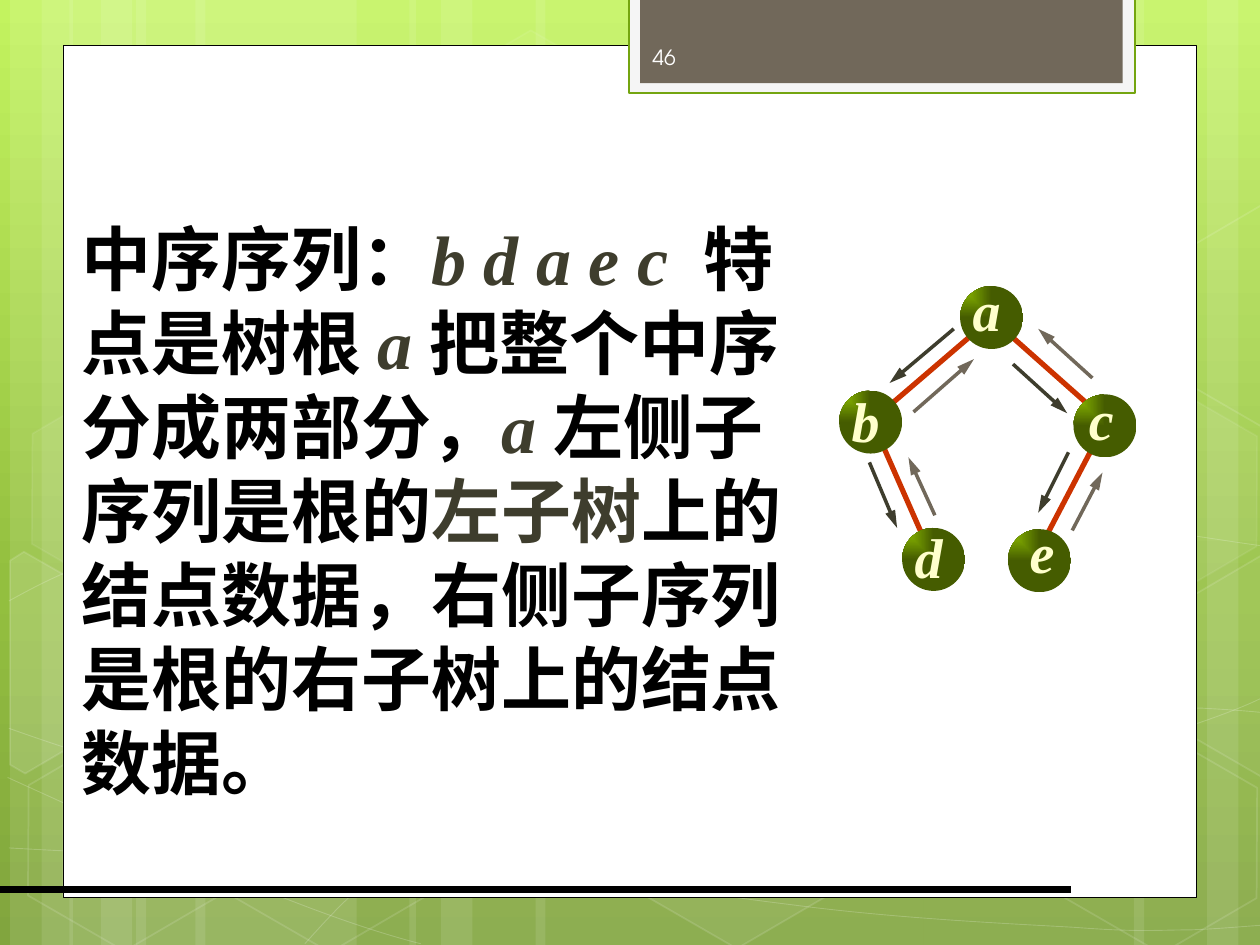
"""Build the slide on in-order traversal of a binary tree."""
from dataclasses import dataclass

from lxml.etree import SubElement
from pptx import Presentation
from pptx.dml.color import RGBColor as Rgb
from pptx.enum.shapes import MSO_CONNECTOR as Link, MSO_SHAPE as Kind
from pptx.enum.text import MSO_ANCHOR as Anchor, MSO_AUTO_SIZE as Fit, PP_ALIGN as Align
from pptx.oxml import parse_xml
from pptx.oxml.ns import nsdecls, qn
from pptx.util import Inches, Pt


@dataclass(frozen=True)
class Theme:
    backdrop: tuple = ((0, "C3F35F"), (62, "93BF3F"), (100, "81A53E"))
    ball: tuple = ((0, "94C600"), (100, "455C00"))
    white: str = "FFFFFF"
    black: str = "000000"
    tab: str = "F5F5F5"
    tab_edge: str = "74A510"
    taupe: str = "71685A"
    olive: str = "3E3D2D"
    red: str = "CC3300"
    cream: str = "FFFFCC"
    page_ink: str = "FEFEFE"
    serif: str = "Times New Roman"
    sans: str = "TeX Gyre Adventor"
    body_size: int = 40
    label_size: int = 32
    page_size: int = 12


def write(frame, runs, font, size, align=None, anchor=Anchor.TOP, wrap=True, fit=Fit.NONE, bold=False):
    frame.word_wrap, frame.auto_size, frame.vertical_anchor = wrap, fit, anchor
    paragraph = frame.paragraphs[0]
    paragraph.alignment = align
    for words, color, italic in runs:
        run = paragraph.add_run()
        run.text = words
        run.font.name, run.font.size = font, Pt(size)
        run.font.bold, run.font.italic = bold, italic
        run.font.color.rgb = Rgb.from_string(color)


def fade(element, percent):
    color = element.find(f"{qn('a:solidFill')}/{qn('a:srgbClr')}")
    SubElement(color, qn("a:alpha")).set("val", str(percent * 1000))


def blend(parent, stops, shade):
    marks = "".join(f'<a:gs pos="{at * 1000}"><a:srgbClr val="{color}"/></a:gs>' for at, color in stops)
    solid = parent.find(qn("a:solidFill"))
    parent.replace(solid, parse_xml(
        f'<a:gradFill {nsdecls("a")} rotWithShape="1"><a:gsLst>{marks}</a:gsLst>{shade}</a:gradFill>'))


def bend(shape):
    track = next(shape.element.iter(qn("a:path")))
    segments = track.findall(qn("a:lnTo"))
    for first in range(0, len(segments), 3):
        curve = SubElement(track, qn("a:cubicBezTo"))
        for segment in segments[first:first + 3]:
            curve.append(segment[0])
            track.remove(segment)


class Board:
    def __init__(self, slide, theme):
        self.slide, self.shapes, self.theme = slide, slide.shapes, theme

    def backdrop(self):
        fill = self.slide.background.fill
        fill.solid()
        fill.fore_color.rgb = Rgb.from_string(self.theme.white)
        background = self.slide.element.cSld.find(f"{qn('p:bg')}/{qn('p:bgPr')}")
        blend(background, self.theme.backdrop, '<a:lin ang="5400000" scaled="0"/>')

    def paint(self, shape, fill=None, alpha=None, line=None, width=1, line_alpha=None):
        shape.shadow.inherit = False
        if fill:
            shape.fill.solid()
            shape.fill.fore_color.rgb = Rgb.from_string(fill)
            if alpha:
                fade(shape.element.spPr, alpha)
        else:
            shape.fill.background()
        if line:
            shape.line.color.rgb = Rgb.from_string(line)
            shape.line.width = Pt(width)
            if line_alpha:
                fade(shape.element.spPr.find(qn("a:ln")), line_alpha)
        else:
            shape.line.fill.background()
        return shape

    def block(self, box, kind=Kind.RECTANGLE, **look):
        return self.paint(self.shapes.add_shape(kind, *map(Inches, box)), **look)

    def hexagon(self, left, top, alpha, line_alpha):
        white = self.theme.white
        cell = self.block((left, top, 1.75, 1.52), Kind.HEXAGON, fill=white if alpha else None,
                          alpha=alpha, line=white, line_alpha=line_alpha)
        cell.adjustments[0] = 0.285
        cell.rotation = 30

    def outline(self, points, close, **look):
        first, *rest = [(Inches(x), Inches(y)) for x, y in points]
        builder = self.shapes.build_freeform(*first)
        builder.add_line_segments(rest, close=close)
        return self.paint(builder.convert_to_shape(), line=self.theme.white, **look)

    def stroke(self, start, end, color, width, arrow=None):
        stroke = self.shapes.add_connector(Link.STRAIGHT, *map(Inches, (*start, *end)))
        stroke.line.color.rgb = Rgb.from_string(color)
        stroke.line.width = Pt(width)
        properties = stroke.element.spPr
        if arrow:
            tip = SubElement(properties.find(qn("a:ln")), qn(arrow))
            for key, value in (("type", "triangle"), ("w", "med"), ("len", "lg")):
                tip.set(key, value)
        SubElement(properties, qn("a:effectLst"))

    def text(self, box, runs, **look):
        write(self.shapes.add_textbox(*map(Inches, box)).text_frame, runs, **look)

    def ball(self, left, top):
        ball = self.block((left, top, 0.5, 0.5), Kind.OVAL, fill=self.theme.white)
        blend(ball.element.spPr, self.theme.ball,
              '<a:path path="rect"><a:fillToRect r="100000" b="100000"/></a:path>')


STRIPES = ((1.08, 1.75), (0.08, 0.5), (0.33, 0.83), (1.55, 1.75), (0.55, 0.5), (0.8, 0.83),
           (7.33, 1.75), (9.58, 0.5), (9, 0.83), (4.25, 3.08), (3.25, 0.5), (3.5, 0.83))
CURVES = (
    ((0.07, 6.73), (0.61, 6.76), (1.15, 6.79), (1.9, 6.78), (2.65, 6.77), (3.58, 6.75), (4.58, 6.65),
     (5.58, 6.55), (7, 6.36), (7.92, 6.17), (8.83, 5.98), (9.77, 5.68), (10.07, 5.51)),
    ((0.07, 4.77), (0.36, 4.61), (0.65, 4.46), (1.21, 4.31), (1.78, 4.16), (2.59, 3.94), (3.47, 3.87),
     (4.36, 3.8), (5.44, 3.79), (6.54, 3.87), (7.64, 3.95), (9.47, 4.26), (10.07, 4.34)),
    ((0.06, 6.17), (1.27, 6.72), (2.47, 7.27), (3.34, 7.49)),
    ((0.07, 5.78), (0.38, 5.89), (0.7, 6), (1.28, 6.16), (1.86, 6.31), (2.73, 6.56), (3.57, 6.73),
     (4.4, 6.9), (5.45, 7.08), (6.28, 7.18), (7.11, 7.29), (8, 7.33), (8.53, 7.36),
     (9.05, 7.4), (9.19, 7.38), (9.45, 7.38), (9.71, 7.37), (9.89, 7.35), (10.07, 7.34)),
    ((2.42, 7.49), (2.6, 7.29), (2.78, 7.09), (3.02, 6.91), (3.26, 6.73), (3.6, 6.53), (3.88, 6.39),
     (4.16, 6.25), (4.33, 6.19), (4.7, 6.09), (5.06, 5.99), (5.73, 5.85), (6.08, 5.78),
     (6.44, 5.71), (6.49, 5.71), (6.8, 5.69), (7.11, 5.66), (7.6, 5.63), (7.94, 5.62),
     (8.29, 5.61), (8.86, 5.62), (9.53, 5.62), (9.71, 5.63), (9.88, 5.64), (10.06, 5.66)),
)
HEXAGONS = ((3.34, 0.36, 4, 8), (4.97, 5.89, 6, 12), (0.11, 5.91, None, 12), (0.14, 3.12, 7, 8),
            (1.74, 5.92, None, 12), (8.34, 5.93, None, 12), (8.34, 3.14, 7, 8))
CUT_HEXAGONS = (
    (((0.08, 4.45), (0.19, 4.38), (0.96, 4.82), (0.95, 5.7), (0.2, 6.14), (0.08, 6.07)), 10),
    (((9.26, 4.85), (10.01, 4.41), (10.09, 4.46), (10.09, 6.13), (10.02, 6.17), (9.26, 5.73)), 4),
    (((9.26, 2.07), (10.01, 1.63), (10.1, 1.68), (10.09, 3.35), (10.02, 3.39), (9.26, 2.95)), None),
)
EDGES = (((8.73, 3.44), (8.28, 4.3)), ((7, 3.52), (7.33, 4.27)),
         ((7.96, 2.61), (8.67, 3.24)), ((7.77, 2.61), (7, 3.27)))
BALLS = ((7.62, 2.27), (6.66, 3.1), (8, 4.2), (8.52, 3.13), (7.16, 4.19))
LABELS = (("a", (7.62, 2.14, 0.42, 0.63), False), ("b", (6.66, 3.02, 0.42, 0.63), False),
          ("c", (8.54, 3, 0.4, 0.63), False), ("d", (7.16, 4.1, 0.42, 0.63), True),
          ("e", (8.06, 4.06, 0.42, 0.63), True))
DESCENTS = (((7.57, 2.61), (7.06, 3.04)), ((6.9, 3.67), (7.12, 4.19)),
            ((8.04, 2.89), (8.47, 3.28)), ((8.48, 3.59), (8.24, 4.07)))
RETURNS = (((7.21, 3.63), (7.42, 4.09)), ((7.73, 2.85), (7.25, 3.27)),
           ((8.75, 3.75), (8.51, 4.21)), ((8.24, 2.61), (8.67, 3)))


def main():
    deck = Presentation()
    deck.slide_width, deck.slide_height = Inches(10), Inches(7.5)
    theme = Theme()
    board = Board(deck.slides.add_slide(deck.slide_layouts[6]), theme)

    board.backdrop()
    for left, width in STRIPES:
        board.block((left, 0, width, 7.5), fill=theme.white, alpha=10)
    for points in CURVES:
        bend(board.outline(points, False, width=0.5, line_alpha=20))
    for cell in HEXAGONS:
        board.hexagon(*cell)
    for corners, alpha in CUT_HEXAGONS:
        board.outline(corners, True, fill=theme.white if alpha else None, alpha=alpha, line_alpha=12)

    board.block((0.5, 0.36, 9, 6.76), fill=theme.white, line=theme.black, width=0.5)
    board.block((4.99, -0.02, 4.02, 0.76), fill=theme.tab, line=theme.tab_edge, width=1.25)
    board.block((5.08, -0.02, 3.83, 0.68), fill=theme.taupe)
    board.stroke((0, 7.06), (8.5, 7.06), theme.black, 4.5)
    board.text((5.08, 0.25, 1.46, 0.4), [("46", theme.page_ink, False)],
               font=theme.sans, size=theme.page_size, anchor=Anchor.MIDDLE)

    explanation = (("中序序列：", theme.black, False), ("b d a e c  ", theme.olive, True),
                   ("特点是树根 ", theme.black, False), ("a ", theme.olive, True),
                   ("把整个中序分成两部分，", theme.black, False), ("a ", theme.olive, True),
                   ("左侧子序列是根的", theme.black, False), ("左子树", theme.olive, False),
                   ("上的结点数据，右侧子序列是根的右子树上的结点数据。", theme.black, False))
    board.text((0.55, 1.66, 6.1, 4.81), explanation, font=theme.serif, size=theme.body_size,
               bold=True, fit=Fit.SHAPE_TO_FIT_TEXT)

    for start, end in EDGES:
        board.stroke(start, end, theme.red, 3)
    for place in BALLS:
        board.ball(*place)
    for letter, box, wrap in LABELS:
        board.text(box, [(letter, theme.cream, True)], font=theme.serif, size=theme.label_size,
                   bold=True, align=Align.CENTER, anchor=Anchor.MIDDLE, wrap=wrap,
                   fit=Fit.SHAPE_TO_FIT_TEXT)
    for color, moves, arrow in ((theme.olive, DESCENTS, "a:tailEnd"), (theme.taupe, RETURNS, "a:headEnd")):
        for start, end in moves:
            board.stroke(start, end, color, 2, arrow)

    deck.save("out.pptx")


if __name__ == "__main__":
    main()
